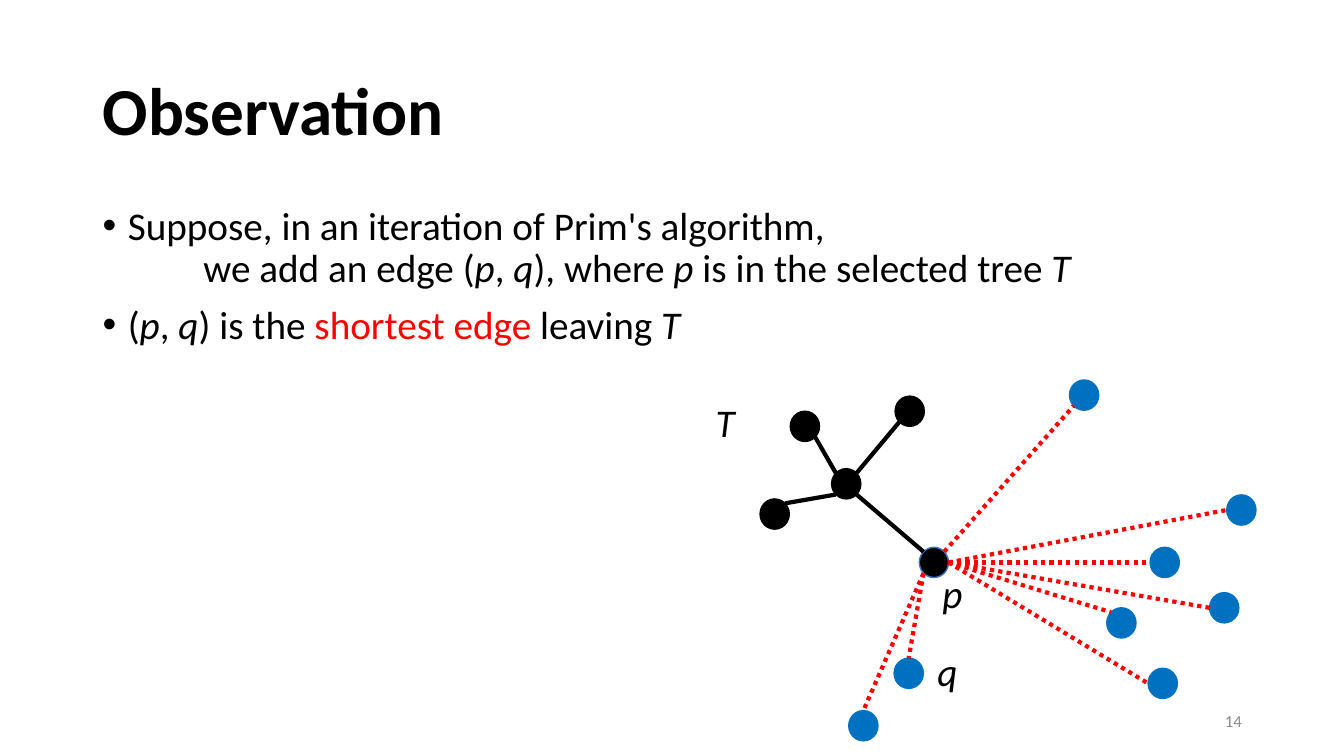
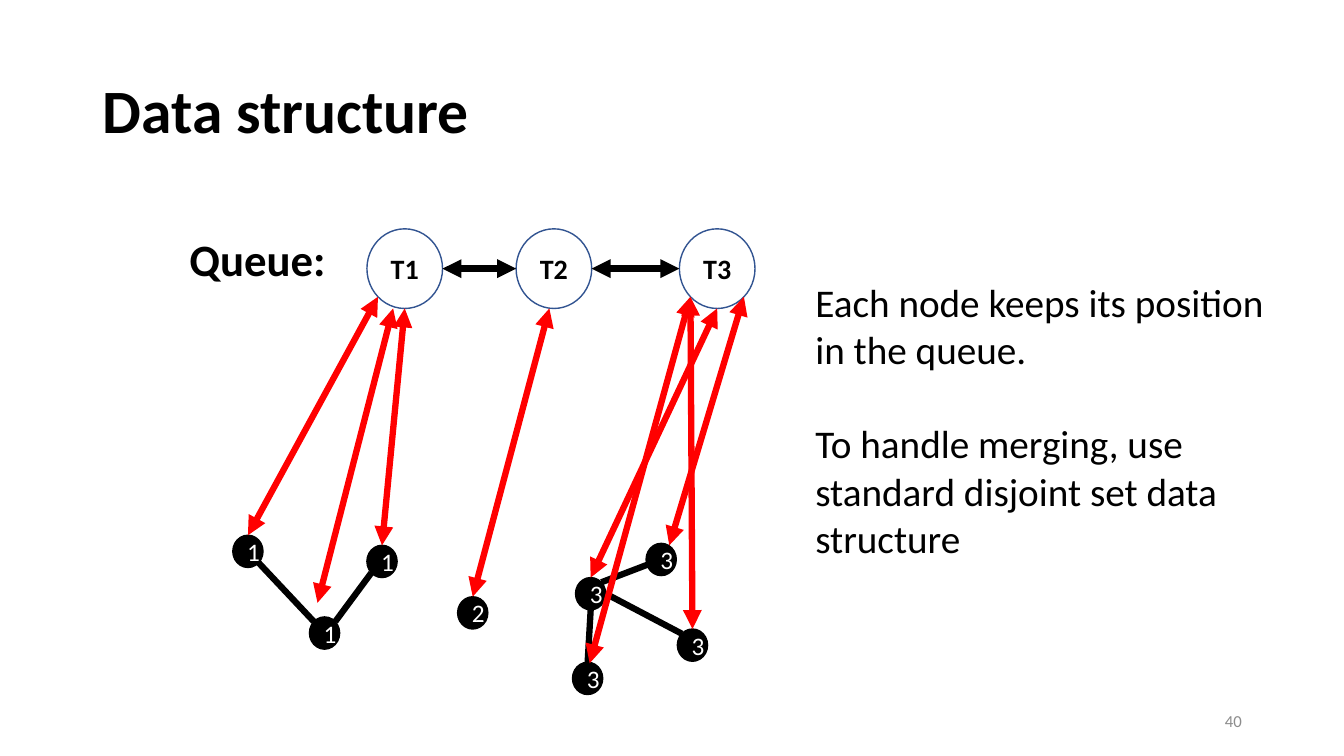
import math
from dataclasses import dataclass

import lxml.etree
import pptx
import pptx.dml.color
import pptx.enum.dml
import pptx.enum.shapes
import pptx.enum.text
import pptx.oxml.ns
import pptx.util

Inches = pptx.util.Inches
Align = pptx.enum.text.PP_ALIGN
Anchor = pptx.enum.text.MSO_ANCHOR

# Directions from a circle's centre to the points where edges attach
D = math.sqrt(0.5)
SITES = {"C": (0, 0), "T": (0, -1), "L": (-1, 0), "B": (0, 1), "R": (1, 0),
         "TL": (-D, -D), "TR": (D, -D), "BL": (-D, D), "BR": (D, D)}


@dataclass(frozen=True)
class Theme:
    font: str = "Calibri"
    black: str = "000000"
    white: str = "FFFFFF"
    red: str = "FF0000"
    blue: str = "0070C0"
    accent: str = "4472C4"
    queue_line: str = "325491"
    grey: str = "8C8C8C"
    title: int = 44
    big_title: int = 48
    heading: int = 32
    body: int = 28
    queue: int = 20
    node: int = 18
    footer: int = 12


class Deck:
    def __init__(self, theme):
        self.theme = theme
        self.prs = pptx.Presentation()
        self.prs.slide_width, self.prs.slide_height = Inches(40 / 3), Inches(7.5)
        self.slide = None

    def new_slide(self, title, number, size):
        """Start a slide with its title and page number."""
        self.slide = self.prs.slides.add_slide(self.prs.slide_layouts[6])
        self.text((0.92, 0.4, 11.5, 1.45), [[(title, {"bold": True})]], size,
                  anchor=Anchor.MIDDLE, spacing=0.9)
        self.text((9.42, 6.95, 3, 0.4), [[(number, {})]], self.theme.footer,
                  self.theme.grey, Anchor.MIDDLE, align=Align.RIGHT)

    def runs(self, paragraph, pieces, size, colour):
        """Add (text, style) pieces; None is a line break."""
        for piece in pieces:
            if piece is None:
                paragraph.add_line_break()
                continue
            words, style = piece
            run = paragraph.add_run()
            run.text = words
            run.font.name, run.font.size = self.theme.font, pptx.util.Pt(size)
            run.font.bold = style.get("bold", False)
            run.font.italic = style.get("italic", False)
            run.font.color.rgb = rgb(style.get("colour", colour))

    def text(self, box, paragraphs, size, colour=None, anchor=Anchor.TOP,
             spacing=None, gap=0, align=None, bullets=False, wrap=True):
        frame = self.slide.shapes.add_textbox(*map(Inches, box)).text_frame
        frame.word_wrap, frame.vertical_anchor = wrap, anchor
        for i, pieces in enumerate(paragraphs):
            paragraph = frame.add_paragraph() if i else frame.paragraphs[0]
            if bullets:
                self.bullet(paragraph)
            paragraph.alignment, paragraph.line_spacing = align, spacing
            if i:
                paragraph.space_before = pptx.util.Pt(gap)
            self.runs(paragraph, pieces, size, colour or self.theme.black)

    def bullet(self, paragraph):
        """Add a hanging bullet and a tab stop at one inch."""
        properties = paragraph._p.get_or_add_pPr()
        properties.set("marL", str(Inches(0.25)))
        properties.set("indent", str(Inches(-0.25)))
        add_child(properties, "a:buFont", typeface="Arial")
        add_child(properties, "a:buChar", char="•")
        stops = add_child(properties, "a:tabLst")
        add_child(stops, "a:tab", pos=str(Inches(1)), algn="l")

    def circle(self, at, size, fill, line=None, label="", label_size=None,
               label_colour=None, bold=False):
        circle = self.slide.shapes.add_shape(
            pptx.enum.shapes.MSO_SHAPE.OVAL, *map(Inches, at + size))
        circle.shadow.inherit = False
        circle.fill.solid()
        circle.fill.fore_color.rgb = rgb(fill)
        circle.line.color.rgb = rgb(line or fill)
        circle.line.width = pptx.util.Pt(1)
        if label:
            paragraph = circle.text_frame.paragraphs[0]
            paragraph.alignment = Align.CENTER
            self.runs(paragraph, [(label, {"bold": bold})], label_size, label_colour)
        return circle

    def edge(self, start, end, colour, width, dotted=False, arrows=False):
        """Join two ends, each a (circle, site) pair or an (x, y) point."""
        edge = self.slide.shapes.add_connector(
            pptx.enum.shapes.MSO_CONNECTOR.STRAIGHT, *locate(start), *locate(end))
        edge.line.color.rgb = rgb(colour)
        edge.line.width = pptx.util.Pt(width)
        if dotted:
            edge.line.dash_style = pptx.enum.dml.MSO_LINE.ROUND_DOT
        if arrows:
            for tag in ("a:headEnd", "a:tailEnd"):
                add_child(edge.line._get_or_add_ln(), tag, type="triangle")
        add_child(edge._element.spPr, "a:effectLst")


def rgb(colour):
    return pptx.dml.color.RGBColor.from_string(colour)


def add_child(parent, tag, **attributes):
    return lxml.etree.SubElement(parent, pptx.oxml.ns.qn(tag), **attributes)


def locate(end):
    first, second = end
    if second not in SITES:
        return Inches(first), Inches(second)
    dx, dy = SITES[second]
    return (round(first.left + first.width * (1 + dx) / 2),
            round(first.top + first.height * (1 + dy) / 2))


def observation(deck):
    theme = deck.theme
    deck.new_slide("Observation", "14", theme.big_title)
    italic = {"italic": True}
    pair = [("p", italic), (", ", {}), ("q", italic)]
    deck.text((0.92, 2, 11.95, 4.76), [
        [("Suppose, in an iteration of Prim's algorithm,", {}), None,
         ("\twe add an edge (", {}), *pair, ("), where ", {}), ("p ", italic),
         ("is in the selected tree ", {}), ("T", italic)],
        [("(", {}), *pair, (") is the ", {}),
         ("shortest edge ", {"colour": theme.red}),
         ("leaving ", {}), ("T", italic)],
    ], theme.body, spacing=0.9, gap=10, bullets=True)

    # Selected tree T
    size = (0.29, 0.3)
    hub, upper_left, lower_left, upper_right = [
        deck.circle(at, size, theme.black)
        for at in ((8.25, 4.65), (7.84, 4.08), (7.54, 4.95), (8.88, 3.93))]
    p = deck.circle((9.12, 5.43), size, theme.black, theme.accent)
    for leaf, leaf_site, hub_site in (
            (upper_right, "BL", "TR"), (upper_left, "BR", "TL"),
            (lower_left, "TR", "BL"), (p, "TL", "BR")):
        deck.edge((leaf, leaf_site), (hub, hub_site), theme.black, 3)

    # Nodes outside T and the candidate edges leaving p
    for at, p_site, site in (
            ((8.42, 7.05), "BL", "T"), ((10.98, 6.03), "R", "TL"),
            ((8.87, 6.53), "BL", "T"), ((11.41, 5.43), "R", "L"),
            ((11.39, 6.63), "R", "L"), ((12, 5.88), "R", "L"),
            ((12.17, 4.91), "R", "L"), ((10.61, 3.77), "TR", "BL")):
        outside = deck.circle(at, size, theme.blue)
        deck.edge((p, p_site), (outside, site), theme.red, 3, dotted=True)

    for letter, x, y in (("p", 9.25, 5.6), ("T", 7, 3.9), ("q", 9.2, 6.37)):
        deck.text((x, y, 0.39, 0.57), [[(letter, italic)]], theme.body)


def data_structure(deck):
    theme = deck.theme
    deck.new_slide("Data structure", "40", theme.title)

    # Queue of trees
    deck.text((1.78, 2.25, 1.57, 0.64), [[("Queue:", {"bold": True})]],
              theme.heading, wrap=False)
    t1, t2, t3 = queue = [
        deck.circle((x, 2.27), (0.75, 0.79), theme.white, theme.queue_line,
                    label, theme.queue, theme.black, bold=True)
        for label, x in (("T1", 3.64), ("T2", 5.12), ("T3", 6.74))]
    for tree, following in zip(queue, queue[1:]):
        deck.edge((tree, "R"), (following, "L"), theme.black, 4.5, arrows=True)

    # Nodes labelled with their tree
    left1, low1, right1, only2, hub3, low3, top3, right3 = [
        deck.circle(at, (0.3, 0.32), theme.black, None, label,
                    theme.node, theme.white)
        for label, at in (
            ("1", (2.31, 5.31)), ("1", (3.07, 6.12)), ("1", (3.64, 5.41)),
            ("2", (4.54, 5.92)), ("3", (5.71, 5.73)), ("3", (5.68, 6.57)),
            ("3", (6.41, 5.39)), ("3", (6.72, 6.24)))]

    # Tree edges
    for start, end in (
            ((left1, "BR"), (low1, "TL")), ((low1, "TR"), (right1, "BL")),
            ((hub3, "B"), (low3, "T")), ((hub3, "TR"), (top3, "C")),
            ((hub3, "R"), (right3, "TL"))):
        deck.edge(start, end, theme.black, 4.5)

    # Links between nodes and queue positions
    for start, end in (
            ((left1, "T"), (t1, "BL")), ((right1, "T"), (t1, "B")),
            ((3.15, 5.98), (3.9, 3.06)), ((6.64, 5.41), (t3, "BR")),
            ((hub3, "T"), (t3, "B")), ((right3, "T"), (t3, "BL")),
            ((only2, "T"), (5.45, 3.06)), ((5.85, 6.58), (t3, "BL"))):
        deck.edge(start, end, theme.red, 4.5, arrows=True)

    deck.text((7.99, 2.71, 4.88, 2.93), [
        [("Each node keeps its position in the queue.", {})],
        [("To handle merging, use standard disjoint set data structure", {})],
    ], theme.body, gap=34)


def main():
    deck = Deck(Theme())
    observation(deck)
    data_structure(deck)
    deck.prs.save("out.pptx")


if __name__ == "__main__":
    main()
